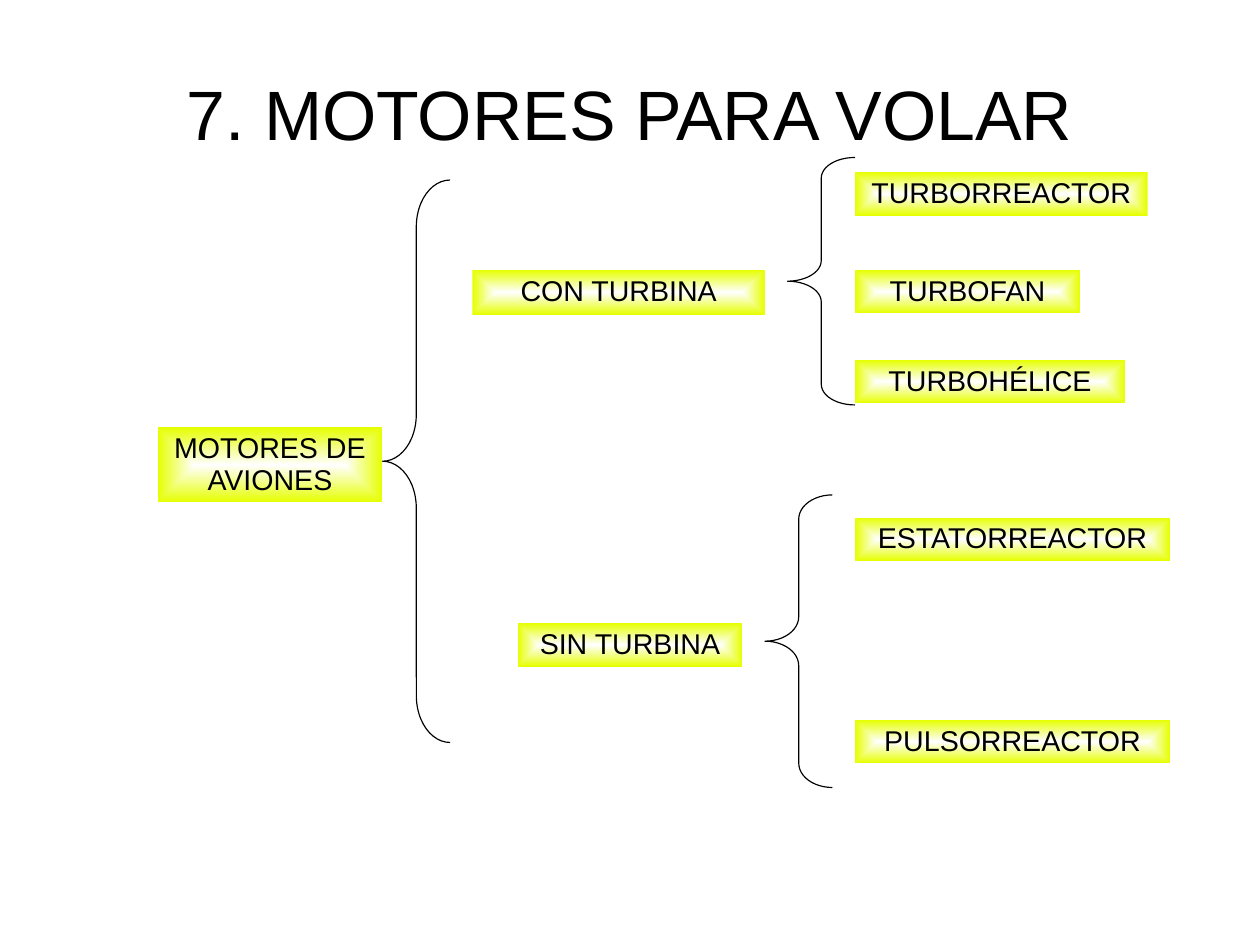
import pptx
import pptx.dml.color
import pptx.enum.shapes
import pptx.enum.text
import pptx.oxml.ns
import pptx.util
from lxml import etree

Pt = pptx.util.Pt
SHAPES = pptx.enum.shapes.MSO_SHAPE
ANCHORS = pptx.enum.text.MSO_ANCHOR
COLORS = {"ink": "000000", "center": "FFFFFF", "edge": "E6FF00"}

BOX_HEIGHT = 27.3
BRACE_WIDTH = 42.5
TYPE_LEFT = 538.6

# text, left, top, width, height
GROUPS = [
    ("MOTORES DE AVIONES", 99.2, 269.3, 141.7, 47.2),
    ("CON TURBINA", 297.6, 170.1, 184.3, 28.3),
    ("SIN TURBINA", 326, 392.6, 141.7, BOX_HEIGHT),
]
# text, top, width
ENGINE_TYPES = [
    ("TURBORREACTOR", 108.5, 184.3),
    ("TURBOFAN", 170.1, 141.7),
    ("TURBOHÉLICE", 226.8, 170.1),
    ("ESTATORREACTOR", 326, 198.4),
    ("PULSORREACTOR", 453.6, 198.4),
]
# left, top, height
BRACES = [
    (241, 113.4, 354.3),
    (496.1, 99.2, 155.9),
    (481.9, 311.8, 184.3),
]


def rgb(name):
    return pptx.dml.color.RGBColor.from_string(COLORS[name])


def write(frame, text, size=18, color="ink", anchor=ANCHORS.TOP, margins=(7.2, 3.6)):
    frame.word_wrap = True
    frame.vertical_anchor = anchor
    frame.margin_left = frame.margin_right = Pt(margins[0])
    frame.margin_top = frame.margin_bottom = Pt(margins[1])
    paragraph = frame.paragraphs[0]
    paragraph.alignment = pptx.enum.text.PP_ALIGN.CENTER
    paragraph.line_spacing = 0.93
    run = paragraph.add_run()
    run.text = text
    run.font.name = "Arial"
    run.font.size = Pt(size)
    run.font.color.rgb = rgb(color)


def glow_from_center(shape):
    """Fill the shape with a rectangular gradient, light in the middle."""
    shape.fill.gradient()
    for stop, name in zip(shape.fill.gradient_stops, ("center", "edge")):
        stop.color.rgb = rgb(name)
    qn = pptx.oxml.ns.qn
    gradient = shape.element.spPr.find(qn("a:gradFill"))
    gradient.remove(gradient.find(qn("a:lin")))
    outline = etree.SubElement(gradient, qn("a:path"), path="rect")
    sides = dict.fromkeys("ltrb", "50000")
    etree.SubElement(outline, qn("a:fillToRect"), sides)


class EngineDiagram:
    def __init__(self, slide):
        self.slide = slide

    def title(self, text, left, top, width, height):
        heading = self.slide.shapes.add_textbox(*map(Pt, (left, top, width, height)))
        write(heading.text_frame, text, size=44, anchor=ANCHORS.MIDDLE, margins=(0, 0))

    def preset(self, kind, *bounds):
        shape = self.slide.shapes.add_shape(kind, *map(Pt, bounds))
        shape.shadow.inherit = False
        return shape

    def box(self, text, left, top, width, height=BOX_HEIGHT):
        label = self.preset(SHAPES.RECTANGLE, left, top, width, height)
        glow_from_center(label)
        label.line.fill.background()
        write(label.text_frame, text)

    def brace(self, left, top, height):
        bracket = self.preset(SHAPES.LEFT_BRACE, left, top, BRACE_WIDTH, height)
        bracket.adjustments[0] = height / 12 / BRACE_WIDTH
        bracket.fill.background()
        bracket.line.color.rgb = rgb("ink")
        bracket.line.width = Pt(0)


def main():
    deck = pptx.Presentation()
    deck.slide_width, deck.slide_height = Pt(793.7), Pt(595.3)
    diagram = EngineDiagram(deck.slides.add_slide(deck.slide_layouts[6]))
    diagram.title("7. MOTORES PARA VOLAR", 39.7, 27.4, 714.3, 92.2)
    for group in GROUPS:
        diagram.box(*group)
    for text, top, width in ENGINE_TYPES:
        diagram.box(text, TYPE_LEFT, top, width)
    for brace in BRACES:
        diagram.brace(*brace)
    deck.save("out.pptx")


if __name__ == "__main__":
    main()
